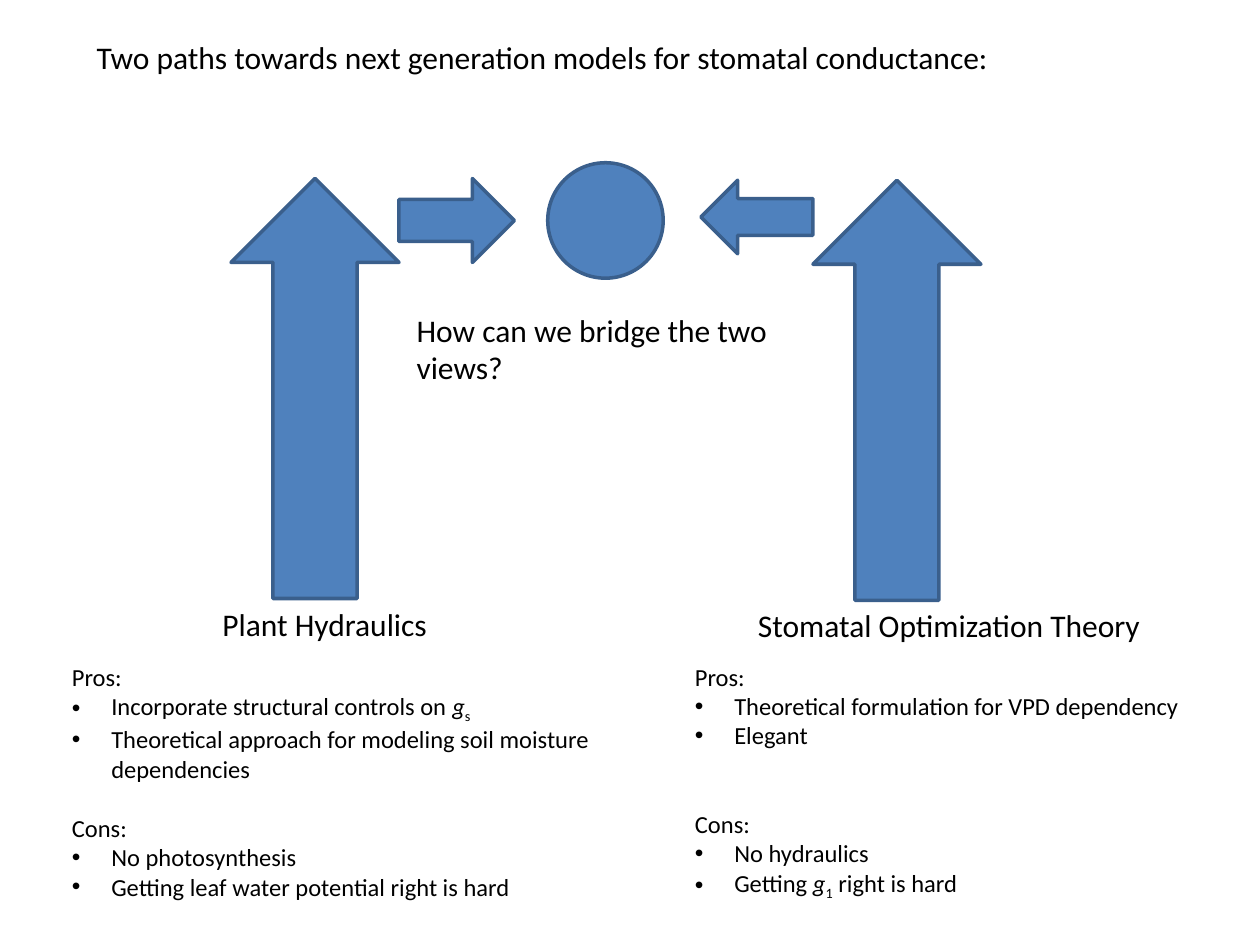
from lxml.etree import SubElement
from pptx import Presentation
from pptx.dml.color import RGBColor
from pptx.enum.shapes import MSO_SHAPE as Preset
from pptx.enum.text import MSO_ANCHOR as Anchor, MSO_AUTO_SIZE as AutoSize, PP_ALIGN as Align
from pptx.oxml.ns import qn
from pptx.util import Pt

BLACK = RGBColor(0x00, 0x00, 0x00)
BLUE = RGBColor(0x4F, 0x81, 0xBD)
DARK_BLUE = RGBColor(0x3A, 0x5F, 0x8C)

FRAME_FORMAT = {
    "word_wrap": True,
    "auto_size": AutoSize.NONE,
    "vertical_anchor": Anchor.TOP,
    "margin_left": Pt(7.2),
    "margin_right": Pt(7.2),
    "margin_top": Pt(3.6),
    "margin_bottom": Pt(3.6),
}
HEADING_SIZE, LIST_SIZE = 18, 14
LIST_LINE = 16.9
BULLET_INDENT = 22.5

ARROWS_AND_GOAL = [
    (Preset.UP_ARROW, 132, 102, 96, 240),
    (Preset.UP_ARROW, 464.5, 103, 96, 240),
    (Preset.RIGHT_ARROW, 228, 102, 66, 48),
    (Preset.LEFT_ARROW, 400.5, 103, 64, 42),
    (Preset.OVAL, 313, 93, 66, 66),
]
HEADINGS = [
    ("Plant Hydraulics", 120, 342, 222, 29),
    ("Stomatal Optimization Theory", 426, 342.5, 264, 29),
    ("How can we bridge the two views?", 231, 174, 225, 51),
]
HYDRAULICS = {
    "Pros:": [
        [("Incorporate structural controls on ", ""), ("g", "italic"), ("s", "sub")],
        [("Theoretical approach for modeling soil moisture dependencies", "")],
    ],
    "Cons:": [
        [("No photosynthesis", "")],
        [("Getting leaf water potential right is hard", "")],
    ],
}
OPTIMIZATION = {
    "Pros:": [
        [("Theoretical formulation for VPD dependency", "")],
        [("Elegant", "")],
    ],
    "Cons:": [
        [("No hydraulics", "")],
        [("Getting ", ""), ("g", "italic"), ("1", "sub"), (" right is hard", "")],
    ],
}


def format_frame(frame):
    for attribute, value in FRAME_FORMAT.items():
        setattr(frame, attribute, value)


def add_run(paragraph, text, size, style=""):
    run = paragraph.add_run()
    run.text = text
    font_format = {"name": "Calibri", "size": Pt(size), "italic": style == "italic"}
    for attribute, value in font_format.items():
        setattr(run.font, attribute, value)
    run.font.color.rgb = BLACK
    if style == "sub":
        run._r.get_or_add_rPr().set("baseline", "-25000")


def add_frame(slide, left, top, width, height):
    box = slide.shapes.add_textbox(Pt(left), Pt(top), Pt(width), Pt(height))
    format_frame(box.text_frame)
    return box.text_frame


def set_title(slide, text):
    title = slide.shapes.title
    place = {"left": Pt(48), "top": Pt(18), "width": Pt(648), "height": Pt(29)}
    for attribute, value in place.items():
        setattr(title, attribute, value)
    format_frame(title.text_frame)
    paragraph = title.text_frame.paragraphs[0]
    paragraph.alignment = Align.LEFT
    add_run(paragraph, text, HEADING_SIZE)


def add_heading(slide, text, *place):
    add_run(add_frame(slide, *place).paragraphs[0], text, HEADING_SIZE)


def add_blue_shape(slide, preset, *place):
    shape = slide.shapes.add_shape(preset, *map(Pt, place))
    shape.shadow.inherit = False
    shape.fill.solid()
    shape.fill.fore_color.rgb = BLUE
    shape.line.color.rgb = DARK_BLUE
    shape.line.width = Pt(2)


def make_bullet(paragraph):
    properties = paragraph._p.get_or_add_pPr()
    properties.set("marL", str(Pt(BULLET_INDENT)))
    properties.set("indent", str(-Pt(BULLET_INDENT)))
    SubElement(properties, qn("a:buFont")).set("typeface", "Arial")
    SubElement(properties, qn("a:buChar")).set("char", "•")


def add_pros_and_cons(slide, arguments, left, gap):
    frame = add_frame(slide, left, 374.5, 314, 143)
    for index, (label, points) in enumerate(arguments.items()):
        paragraph = frame.add_paragraph() if index else frame.paragraphs[0]
        if index:
            paragraph.space_before = Pt(gap)
        add_run(paragraph, label, LIST_SIZE)
        for point in points:
            paragraph = frame.add_paragraph()
            make_bullet(paragraph)
            for text, style in point:
                add_run(paragraph, text, LIST_SIZE, style)


def main():
    deck = Presentation()
    deck.slide_width, deck.slide_height = Pt(720), Pt(540)
    slide = deck.slides.add_slide(deck.slide_layouts.get_by_name("Title Only"))
    set_title(slide, "Two paths towards next generation models for stomatal conductance:")
    for element in ARROWS_AND_GOAL:
        add_blue_shape(slide, *element)
    for heading in HEADINGS:
        add_heading(slide, *heading)
    add_pros_and_cons(slide, HYDRAULICS, 34, LIST_LINE)
    add_pros_and_cons(slide, OPTIMIZATION, 390, 2 * LIST_LINE)
    deck.save("out.pptx")


if __name__ == "__main__":
    main()
